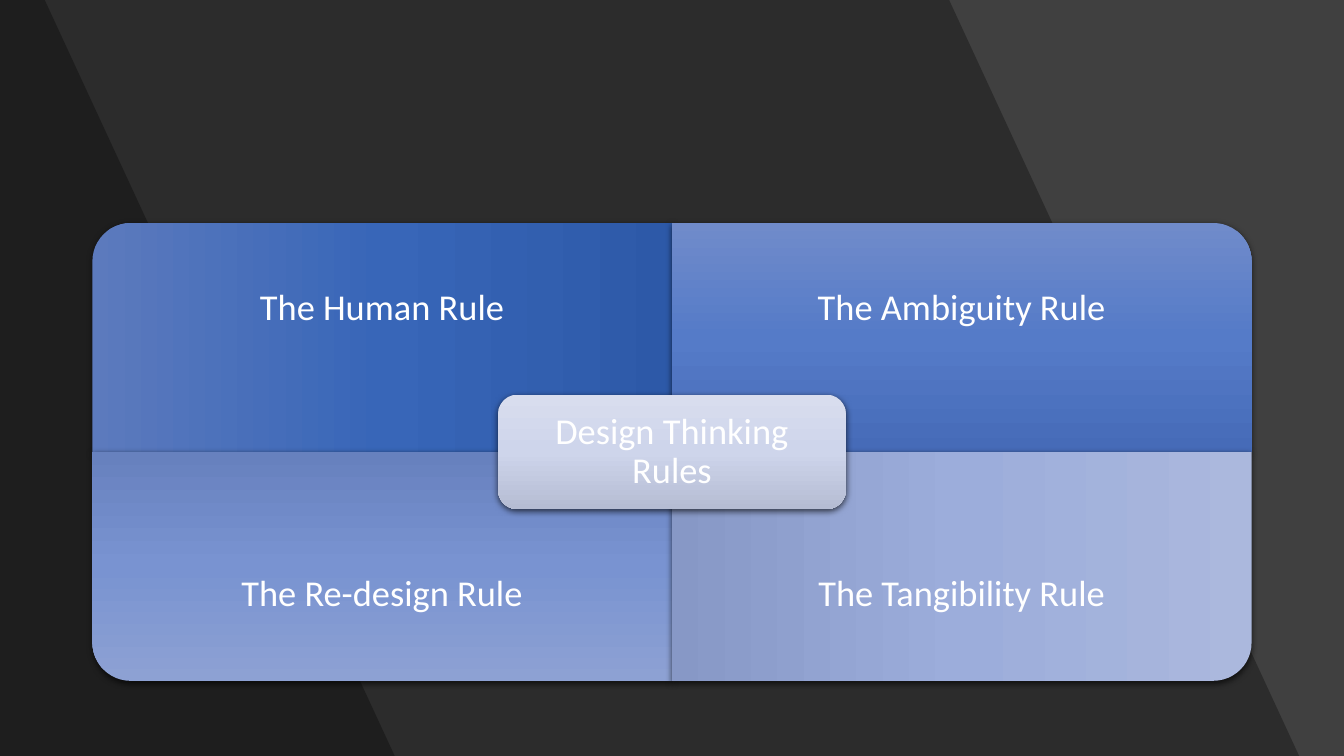
import copy
import pptx
import pptx.dml.color
import pptx.enum.shapes
import pptx.enum.text
import pptx.oxml
import pptx.oxml.ns
import pptx.util

Pt = pptx.util.Pt
qn = pptx.oxml.ns.qn
KIND = pptx.enum.shapes.MSO_SHAPE
WIDE, HIGH = 960, 540

SHADOW = (
    '<a:outerShdw xmlns:a="http://schemas.openxmlformats.org/drawingml/2006/main"'
    ' blurRad="57150" dist="19050" dir="5400000" algn="ctr" rotWithShape="0">'
    '<a:srgbClr val="000000"><a:alpha val="63000"/></a:srgbClr></a:outerShdw>'
)

# Text, column, row, turn and gradient of each quarter
RULES = [
    ("The Human Rule", 0, 0, 270, ("5C7ABD", "3866B8", "2D59A8")),
    ("The Ambiguity Rule", 1, 0, 0, ("708BCA", "557BC8", "466BB8")),
    ("The Re-design Rule", 0, 1, 180, ("8DA1D3", "7993D1", "6781BE")),
    ("The Tangibility Rule", 1, 1, 90, ("ABB8DD", "9CADDB", "8798C6")),
]
CORE = ("Design Thinking Rules", ("D8DDEE", "CED5EB", "B5BCD3"))


def color(code):
    """Turn a hex string into a colour."""
    return pptx.dml.color.RGBColor.from_string(code)


def apply(item, style):
    """Set each value of a format dict on an item."""
    for name, value in style.items():
        setattr(item, name, value)


def band(slide, top, foot):
    """Shade the slide from its left edge to a slanted side."""
    pen = slide.shapes.build_freeform(0, 0, scale=Pt(1))
    pen.add_line_segments([(top, 0), (foot, HIGH), (0, HIGH)], close=True)
    shape = pen.convert_to_shape()
    shape.shadow.inherit = False
    shape.line.fill.background()
    shape.fill.solid()
    shape.fill.fore_color.rgb = color("000000")
    tint = shape._element.spPr.find(qn("a:solidFill"))[0]
    tint.makeelement(qn("a:alpha"))
    pptx.oxml.ns  # namespace map used by qn
    alpha = tint.makeelement(qn("a:alpha"), {"val": "30000"})
    tint.append(alpha)


def panel(group, kind, box, tones, turn=0):
    """Draw a shadowed gradient panel that fills its box once turned."""
    x, y, w, h = box
    if turn % 180:
        x, y, w, h = x + (w - h) / 2, y + (h - w) / 2, h, w
    shape = group.shapes.add_shape(kind, Pt(x), Pt(y), Pt(w), Pt(h))
    shape.rotation = turn
    shape.line.fill.background()
    shape.fill.gradient()
    shape.fill.gradient_angle = 270
    stops = shape._element.spPr.find(qn("a:gradFill")).find(qn("a:gsLst"))
    stops.insert(1, copy.deepcopy(stops[0]))
    for stop, tone, place in zip(shape.fill.gradient_stops, tones, (0, 0.5, 1)):
        stop.color.rgb = color(tone)
        stop.position = place
    shape.shadow.inherit = False
    effects = shape._element.spPr.find(qn("a:effectLst"))
    effects.append(pptx.oxml.parse_xml(SHADOW))


def label(group, text, box, inset):
    """Write centred white text in a box."""
    frame = group.shapes.add_textbox(*map(Pt, box)).text_frame
    sides = ("left", "top", "right", "bottom")
    apply(frame, {f"margin_{side}": Pt(inset) for side in sides})
    apply(frame, {
        "word_wrap": True,
        "vertical_anchor": pptx.enum.text.MSO_ANCHOR.MIDDLE,
    })
    para = frame.paragraphs[0]
    apply(para, {
        "text": text,
        "alignment": pptx.enum.text.PP_ALIGN.CENTER,
        "line_spacing": 0.9,
    })
    font = para.runs[0].font
    apply(font, {"name": "Calibri", "size": Pt(26)})
    font.color.rgb = color("FFFFFF")


def matrix(slide, box):
    """Lay four rules around a central title inside a box."""
    left, top, wide, high = box
    w, h = wide / 2, high / 2
    group = slide.shapes.add_group_shape()
    for text, col, row, turn, tones in RULES:
        x, y = left + col * w, top + row * h
        panel(group, KIND.ROUND_1_RECTANGLE, (x, y, w, h), tones, turn)
        label(group, text, (x, y + row * h / 4, w, h * 3 / 4), 14.2)
    text, tones = CORE
    w, h = wide * 0.3, high / 4
    x, y = left + (wide - w) / 2, top + (high - h) / 2
    panel(group, KIND.ROUNDED_RECTANGLE, (x, y, w, h), tones)
    label(group, text, (x + 4, y + 4, w - 8, h - 8), 7.8)


def build():
    """Make the slide and save it."""
    deck = pptx.Presentation()
    apply(deck, {"slide_width": Pt(WIDE), "slide_height": Pt(HIGH)})
    slide = deck.slides.add_slide(deck.slide_layouts[6])
    slide.background.fill.solid()
    slide.background.fill.fore_color.rgb = color("404040")
    band(slide, 678, 928)
    band(slide, 32, 282)
    matrix(slide, (66, 159.3, 828, 327))
    deck.save("out.pptx")


build()
